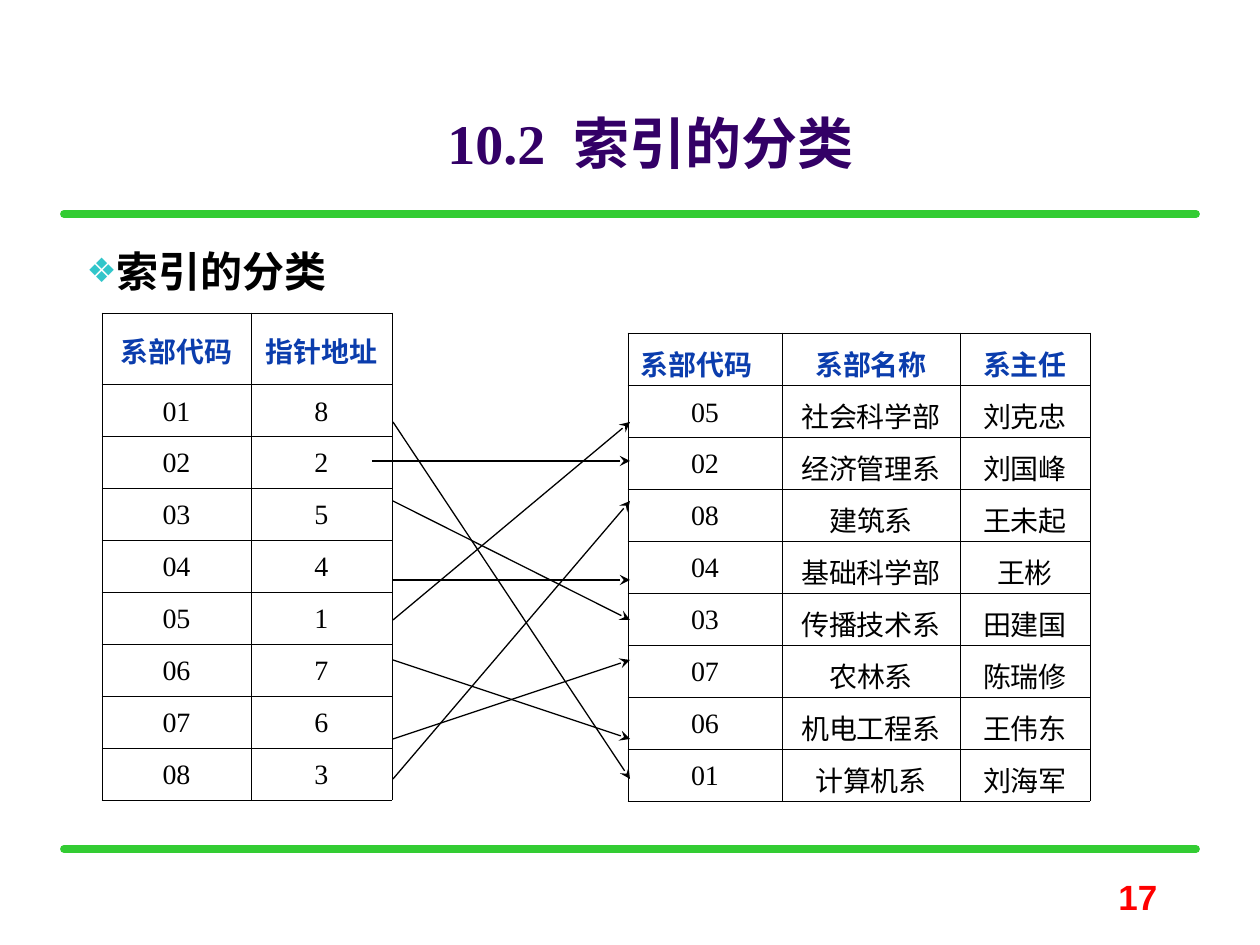
from dataclasses import dataclass
from itertools import product

from lxml.etree import SubElement
from pptx import Presentation
from pptx.dml.color import RGBColor
from pptx.enum.shapes import MSO_CONNECTOR
from pptx.enum.text import MSO_ANCHOR as Anchor, MSO_AUTO_SIZE as AutoSize, PP_ALIGN as Align
from pptx.oxml.ns import qn
from pptx.util import Emu, Pt

EMU_PER_INCH, PX_PER_INCH = 914400, 126


@dataclass(frozen=True)
class Theme:
    latin: str = "Times New Roman"
    chinese: str = "Noto Sans CJK SC"
    number_font: str = "Arial"
    title: str = "330066"
    text: str = "000000"
    header: str = "0B3DAD"
    bullet: str = "32C6CA"
    rule: str = "33CC33"
    number: str = "FF0000"
    title_size: int = 32
    body_size: int = 24
    number_size: int = 20
    table_size: int = 16
    rule_width: float = 4.5
    arrow_width: float = 0.75
    border_width: float = 0.45


THEME = Theme()

INDEX_ROWS = [
    ("系部代码", "指针地址"),
    ("01", "8"), ("02", "2"), ("03", "5"), ("04", "4"),
    ("05", "1"), ("06", "7"), ("07", "6"), ("08", "3"),
]
DEPARTMENT_ROWS = [
    ("系部代码", "系部名称", "系主任"),
    ("05", "社会科学部", "刘克忠"),
    ("02", "经济管理系", "刘国峰"),
    ("08", "建筑系", "王未起"),
    ("04", "基础科学部", "王彬"),
    ("03", "传播技术系", "田建国"),
    ("07", "农林系", "陈瑞修"),
    ("06", "机电工程系", "王伟东"),
    ("01", "计算机系", "刘海军"),
]
ARROW_YS = [422, 461, 501, 580, 620, 660, 739, 779]


def px(length):
    return Emu(round(length * EMU_PER_INCH / PX_PER_INCH))


def place(shape, left, top, width, height):
    shape.left, shape.top = px(left), px(top)
    shape.width, shape.height = px(width), px(height)


def add_run(paragraph, text, size, color, bold=False, font=THEME.latin):
    run = paragraph.add_run()
    run.text = text
    run.font.size = Pt(size)
    run.font.bold = bold
    run.font.color.rgb = RGBColor.from_string(color)
    run.font.name = font
    SubElement(run.font._element, qn("a:ea"), typeface=THEME.chinese)
    return run


def add_line(slide, start, end, color, width):
    points = [px(value) for value in (*start, *end)]
    connector = slide.shapes.add_connector(MSO_CONNECTOR.STRAIGHT, *points)
    connector.line.color.rgb = RGBColor.from_string(color)
    connector.line.width = Pt(width)
    SubElement(connector._element.spPr, qn("a:effectLst"))
    return connector.line._get_or_add_ln()


def add_rules(slide):
    for y in (214, 849):
        line = add_line(slide, (64, y), (1196, y), THEME.rule, THEME.rule_width)
        line.set("cap", "rnd")


def add_arrows(slide):
    for row, (code, pointer) in enumerate(INDEX_ROWS[1:]):
        start = (372 if code == "02" else 393, ARROW_YS[row])
        end = (630, ARROW_YS[int(pointer) - 1])
        line = add_line(slide, start, end, THEME.text, THEME.arrow_width)
        SubElement(line, qn("a:tailEnd"), type="stealth")


def fill_title(title):
    place(title, 94, 101, 1113, 81)
    frame = title.text_frame
    frame.word_wrap = True
    frame.auto_size = AutoSize.SHAPE_TO_FIT_TEXT
    frame.vertical_anchor = Anchor.BOTTOM
    paragraph = frame.paragraphs[0]
    paragraph.alignment = Align.CENTER
    paragraph.line_spacing = 1.0
    paragraph.space_before = Pt(0)
    runs = [add_run(paragraph, text, THEME.title_size, THEME.title, bold=True)
            for text in ("10.2", " ", "索引的分类")]
    runs[1].font._element.set("spc", "800")


def fill_body(body):
    place(body, 74, 224, 1101, 78)
    frame = body.text_frame
    frame.word_wrap = True
    frame.auto_size = AutoSize.SHAPE_TO_FIT_TEXT
    frame.vertical_anchor = Anchor.TOP
    paragraph = frame.paragraphs[0]
    paragraph.alignment = Align.JUSTIFY
    paragraph.line_spacing = 1.3
    paragraph.space_before = Pt(6)
    add_run(paragraph, "索引的分类", THEME.body_size, THEME.text, bold=True)
    properties = paragraph._p.get_or_add_pPr()
    properties.set("marL", str(px(30)))
    properties.set("indent", str(-px(30)))
    color = SubElement(properties, qn("a:buClr"))
    SubElement(color, qn("a:srgbClr"), val=THEME.bullet)
    SubElement(properties, qn("a:buSzPct"), val="80000")
    SubElement(properties, qn("a:buChar"), char="❖")


def add_page_number(slide):
    box = slide.shapes.add_textbox(px(1106), px(869), px(69), px(55))
    box.text_frame.word_wrap = True
    paragraph = box.text_frame.paragraphs[0]
    paragraph.space_before = Pt(12.5)
    add_run(paragraph, "17", THEME.number_size, THEME.number, True, THEME.number_font)


def set_borders(cell):
    properties = cell._tc.get_or_add_tcPr()
    for position, side in enumerate(("lnL", "lnR", "lnT", "lnB")):
        line = SubElement(properties, qn(f"a:{side}"), w=str(Pt(THEME.border_width)))
        fill = SubElement(line, qn("a:solidFill"))
        SubElement(fill, qn("a:srgbClr"), val=THEME.text)
        properties.insert(position, line)


def fill_cell(cell, text, is_header):
    cell.fill.background()
    set_borders(cell)
    cell.vertical_anchor = Anchor.MIDDLE
    paragraph = cell.text_frame.paragraphs[0]
    paragraph.alignment = Align.CENTER
    paragraph.line_spacing = 1.1
    color = THEME.header if is_header else THEME.text
    add_run(paragraph, text, THEME.table_size, color, bold=is_header)


def add_grid(slide, left, top, widths, heights, rows):
    frame = slide.shapes.add_table(len(rows), len(widths), px(left), px(top),
                                   px(sum(widths)), px(sum(heights)))
    table = frame.table
    table.first_row = table.horz_banding = False
    for column, width in zip(table.columns, widths):
        column.width = px(width)
    for row, height in zip(table.rows, heights):
        row.height = px(height)
    for row, column in product(range(len(rows)), range(len(widths))):
        fill_cell(table.cell(row, column), rows[row][column], row == 0)
    return table


def main():
    presentation = Presentation()
    presentation.slide_width, presentation.slide_height = px(1260), px(945)
    slide = presentation.slides.add_slide(presentation.slide_layouts[1])
    add_rules(slide)
    add_page_number(slide)
    fill_title(slide.shapes.title)
    fill_body(slide.placeholders[1])
    add_arrows(slide)
    add_grid(slide, 102, 313, [149, 141], [71] + [52] * 8, INDEX_ROWS)
    departments = add_grid(slide, 628, 333, [154, 178, 130], [52] * 9, DEPARTMENT_ROWS)
    code_header = departments.cell(0, 0).text_frame.paragraphs[0]
    code_header.alignment = Align.LEFT
    code_header.runs[0].font.name = THEME.chinese
    presentation.save("out.pptx")


if __name__ == "__main__":
    main()
